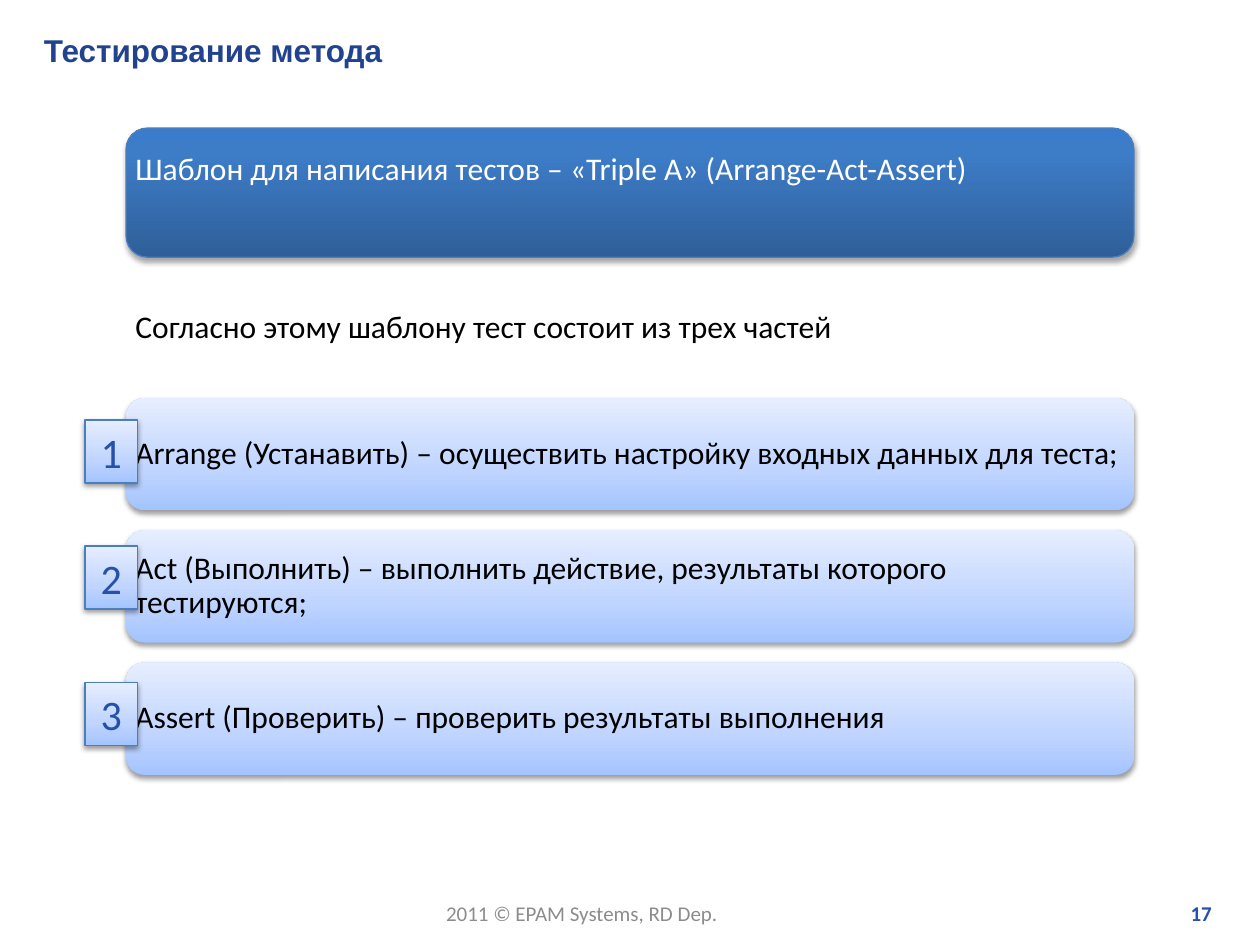
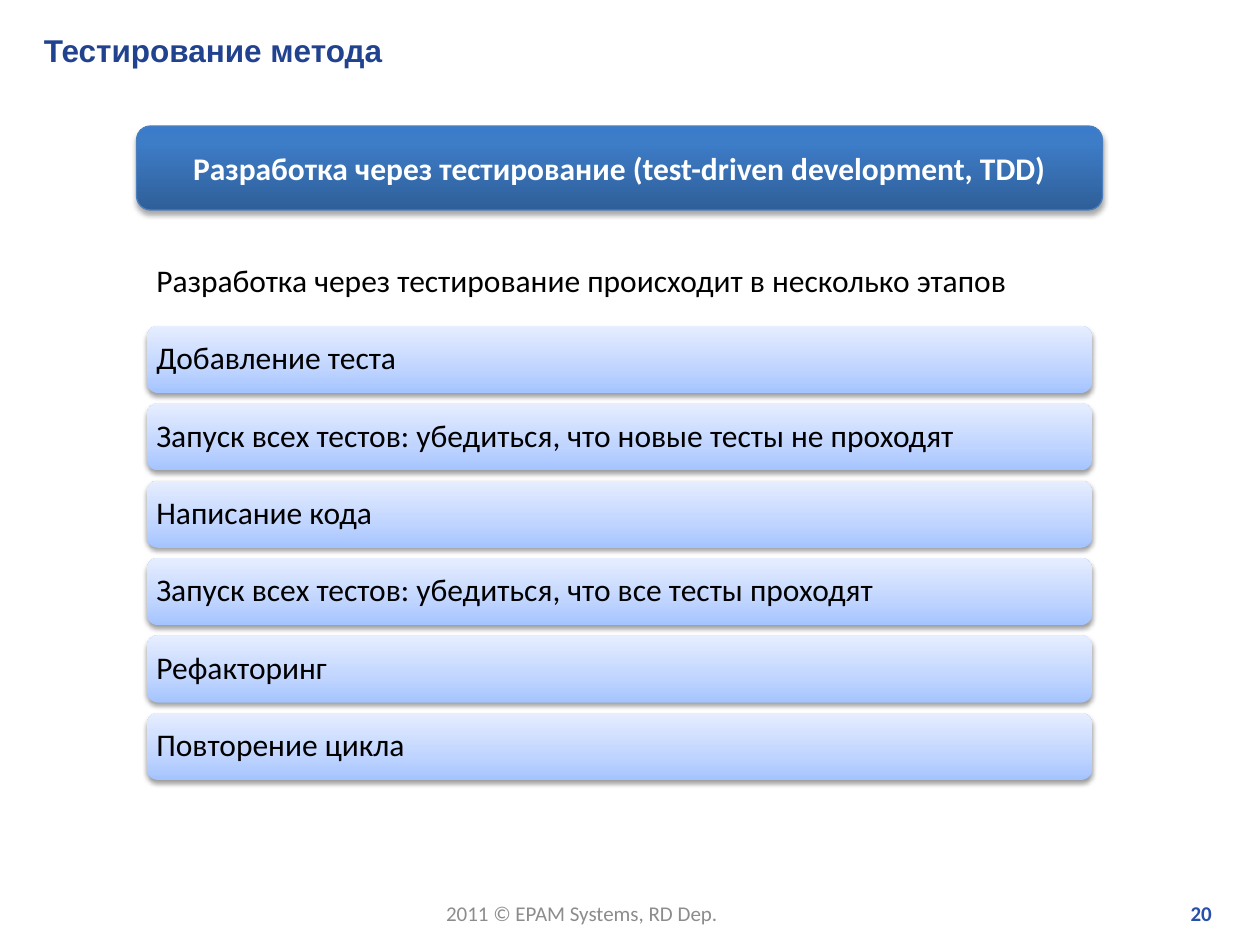
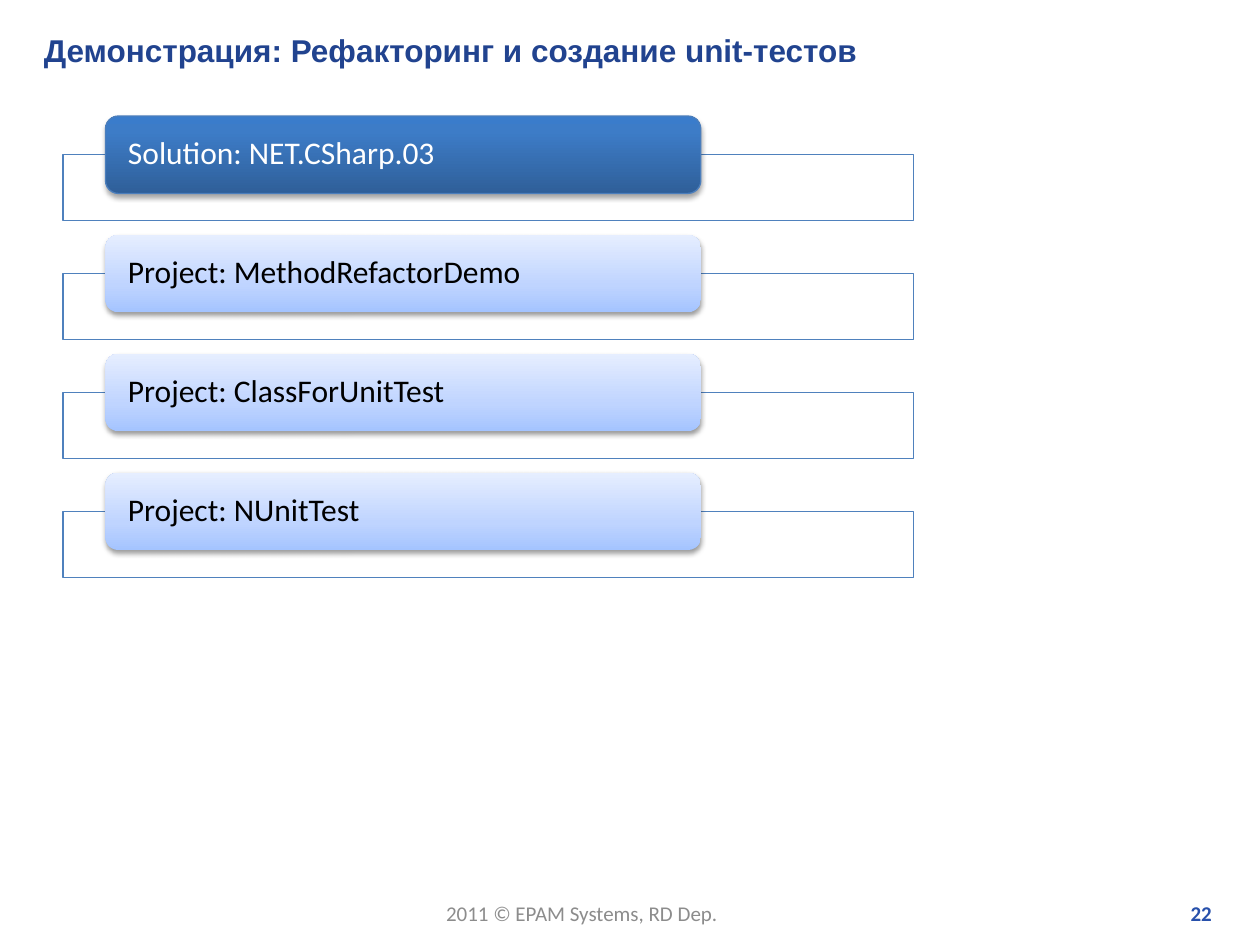
import copy
import dataclasses
import pptx
import pptx.dml.color
import pptx.enum.shapes
import pptx.enum.text
import pptx.oxml
import pptx.oxml.ns
import pptx.util

ALIGN = pptx.enum.text.PP_ALIGN
ANCHOR = pptx.enum.text.MSO_ANCHOR
SHAPE = pptx.enum.shapes.MSO_SHAPE
COLUMNS, ROWS = 120, 90
CORNER = 0.17  # default corner radius as a share of the shape's height
CORNER_INSET = 0.29  # share of the radius by which a rounded shape insets its text


@dataclasses.dataclass(frozen=True)
class Fill:
    """Gradient stops run from bottom to top; shadow is (opacity %, distance in points)."""
    stops: tuple
    shadow: tuple


@dataclasses.dataclass(frozen=True)
class Theme:
    title_font: str = "Arial"
    body_font: str = "Calibri"
    footer_size: int = 12
    body_size: int = 18
    badge_size: int = 24
    white: str = "FFFFFF"
    black: str = "000000"
    gray: str = "8C8C8C"
    title: str = "21438F"
    accent: str = "2750AB"
    outline: str = "4B7EBC"
    frame: str = "4F81BD"
    line_width: float = 0.75
    dark: Fill = Fill(((0, "2F5F99"), (0.8, "3D7CC7"), (1, "3A7CCB")), (35, 1.8))
    light: Fill = Fill(((0, "A4C4FF"), (0.35, "BFD4FF"), (1, "E6EEFF")), (38, 1.6))


def rgb(value):
    return pptx.dml.color.RGBColor.from_string(value)


def set_attributes(target, values):
    for name, value in values.items():
        setattr(target, name, value)


def drawing_element(xml):
    return pptx.oxml.parse_xml(xml.replace(" ", f" {pptx.oxml.ns.nsdecls('a')} ", 1))


class Deck:
    """Holds the theme and the current slide; boxes are (left, top, width, height) in grid cells."""

    def __init__(self, theme):
        self.theme = theme
        self.presentation = pptx.Presentation()
        set_attributes(self.presentation, {"slide_width": pptx.util.Inches(10),
                                           "slide_height": pptx.util.Inches(7.5)})
        self.slide = None

    def place(self, box):
        column = self.presentation.slide_width / COLUMNS
        row = self.presentation.slide_height / ROWS
        return [round(cells * unit) for cells, unit in zip(box, (column, row, column, row))]

    def fill_text(self, shape, text, font=None, paragraph_format=None, frame_format=None):
        frame = shape.text_frame
        set_attributes(frame, {"word_wrap": True, **(frame_format or {})})
        paragraph = frame.paragraphs[0]
        set_attributes(paragraph, {"alignment": ALIGN.LEFT, **(paragraph_format or {})})
        run = paragraph.add_run()
        run.text = text
        values = {"name": self.theme.body_font, "size": self.theme.body_size,
                  "color": self.theme.black, "bold": False, **(font or {})}
        run.font.color.rgb = rgb(values.pop("color"))
        values["size"] = pptx.util.Pt(values["size"])
        set_attributes(run.font, values)

    def text(self, box, text, **formats):
        self.fill_text(self.slide.shapes.add_textbox(*self.place(box)), text, **formats)

    def start_slide(self, title, number):
        theme = self.theme
        self.slide = self.presentation.slides.add_slide(self.presentation.slide_layouts[6])
        grow = {"auto_size": pptx.enum.text.MSO_AUTO_SIZE.SHAPE_TO_FIT_TEXT}
        self.text((41.3, 85.2, 28.7, 3.6), "2011 © EPAM Systems, RD Dep.",
                  font={"size": theme.footer_size, "color": theme.gray},
                  frame_format={**grow, "word_wrap": False})
        self.text((91.2, 85.2, 25.4, 3.6), str(number),
                  font={"size": theme.footer_size, "color": theme.accent, "bold": True},
                  paragraph_format={"alignment": ALIGN.RIGHT}, frame_format=grow)
        self.text((3, 2.4, 114.5, 4.8), title,
                  font={"name": theme.title_font, "color": theme.title, "bold": True},
                  frame_format={"vertical_anchor": ANCHOR.MIDDLE})

    def outline(self, shape, color):
        if color is None:
            shape.line.fill.background()
            return
        shape.line.color.rgb = rgb(color)
        shape.line.width = pptx.util.Pt(self.theme.line_width)

    def gradient_shape(self, box, fill, line=None):
        shape = self.slide.shapes.add_shape(SHAPE.ROUNDED_RECTANGLE, *self.place(box))
        shape.fill.gradient()
        shape.fill.gradient_angle = 90
        first_stop = shape._element.xpath(".//a:gs")[0]
        first_stop.addnext(copy.deepcopy(first_stop))
        for stop, (position, color) in zip(shape.fill.gradient_stops, fill.stops):
            stop.position = position
            stop.color.rgb = rgb(color)
        self.outline(shape, line)
        shape.shadow.inherit = False
        opacity, distance = fill.shadow
        shape._element.spPr.find(pptx.oxml.ns.qn("a:effectLst")).append(drawing_element(
            f'<a:outerShdw blurRad="{pptx.util.Pt(3.1)}" dist="{pptx.util.Pt(distance)}" '
            f'dir="5400000" rotWithShape="0"><a:srgbClr val="{self.theme.black}">'
            f'<a:alpha val="{opacity * 1000}"/></a:srgbClr></a:outerShdw>'))
        return shape

    def panel(self, box, text, dark=False, margin=5.4, lift=0):
        """Rounded panel with left text; margin is in points, lift is the rows kept free below."""
        theme = self.theme
        shape = self.gradient_shape(box, theme.dark if dark else theme.light,
                                    theme.outline if dark else None)
        inset = round(pptx.util.Pt(margin) - CORNER_INSET * CORNER * shape.height)
        bottom = self.place((0, 0, 0, lift))[3]
        self.fill_text(shape, text, font={"color": theme.white if dark else theme.black},
                       paragraph_format={"line_spacing": 0.9},
                       frame_format={"vertical_anchor": ANCHOR.MIDDLE,
                                     "margin_left": max(0, inset), "margin_right": max(0, inset),
                                     "margin_top": 0, "margin_bottom": bottom})

    def lead(self, box, text):
        margin = pptx.util.Pt(5.4)
        self.text(box, text, paragraph_format={"line_spacing": 0.9},
                  frame_format={"vertical_anchor": ANCHOR.MIDDLE,
                                "margin_left": margin, "margin_right": margin})

    def heading(self, box, text):
        shape = self.gradient_shape(box, self.theme.dark, self.theme.outline)
        self.fill_text(shape, text, font={"color": self.theme.white, "bold": True},
                       paragraph_format={"alignment": ALIGN.CENTER},
                       frame_format={"vertical_anchor": ANCHOR.MIDDLE})

    def badge(self, box, text):
        shape = self.gradient_shape(box, self.theme.light, self.theme.outline)
        shape.adjustments[0] = 0
        self.fill_text(shape, text,
                       font={"size": self.theme.badge_size, "color": self.theme.accent},
                       paragraph_format={"alignment": ALIGN.CENTER},
                       frame_format={"vertical_anchor": ANCHOR.MIDDLE, "word_wrap": False})

    def frame(self, box):
        shape = self.slide.shapes.add_shape(SHAPE.RECTANGLE, *self.place(box))
        shape.fill.solid()
        shape.fill.fore_color.rgb = rgb(self.theme.white)
        shape._element.spPr.xpath("./a:solidFill/a:srgbClr")[0].append(
            drawing_element('<a:alpha val="90000"/>'))
        self.outline(shape, self.theme.frame)
        shape.shadow.inherit = False


def build_triple_a(deck):
    deck.start_slide("Тестирование метода", 17)
    deck.panel((12, 12.2, 96, 12.3),
               "Шаблон для написания тестов – «Triple A» (Arrange-Act-Assert)", dark=True, lift=4.2)
    deck.lead((12, 26.4, 96, 9.7), "Согласно этому шаблону тест состоит из трех частей")
    parts = ("Arrange (Устанавить) – осуществить настройку входных данных для теста;",
             "Act (Выполнить) – выполнить действие, результаты которого тестируются;",
             "Assert (Проверить) – проверить результаты выполнения")
    for index, part in enumerate(parts):
        deck.panel((12, 37.9 + 12.6 * index, 96, 10.7), part)
    for number, top in enumerate((40, 52, 65), start=1):
        deck.badge((8.1, top, 5, 6), str(number))


def build_test_driven_development(deck):
    deck.start_slide("Тестирование метода", 20)
    top, pitch, height = 23.66, 7.37, 6.4
    deck.lead((14, top, 90, height),
              "Разработка через тестирование происходит в несколько этапов")
    stages = ("Добавление теста",
              "Запуск всех тестов: убедиться, что новые тесты не проходят",
              "Написание кода",
              "Запуск всех тестов: убедиться, что все тесты проходят",
              "Рефакторинг",
              "Повторение цикла")
    for index, stage in enumerate(stages, start=1):
        deck.panel((14, top + pitch * index, 90, height), stage)
    deck.heading((13, 12, 92, 8), "Разработка через тестирование (test-driven development, TDD)")


def build_demonstration(deck):
    deck.start_slide("Демонстрация: Рефакторинг и создание unit-тестов", 22)
    entries = ("Solution: NET.CSharp.03", "Project: MethodRefactorDemo",
               "Project: ClassForUnitTest", "Project: NUnitTest")
    for index, entry in enumerate(entries):
        top = 11.05 + 11.32 * index
        deck.frame((6, top + 3.69, 81, 6.3))
        deck.panel((10.05, top, 56.7, 7.38), entry, dark=index == 0, margin=12.9)


def main():
    deck = Deck(Theme())
    build_triple_a(deck)
    build_test_driven_development(deck)
    build_demonstration(deck)
    deck.presentation.save("out.pptx")


if __name__ == "__main__":
    main()
